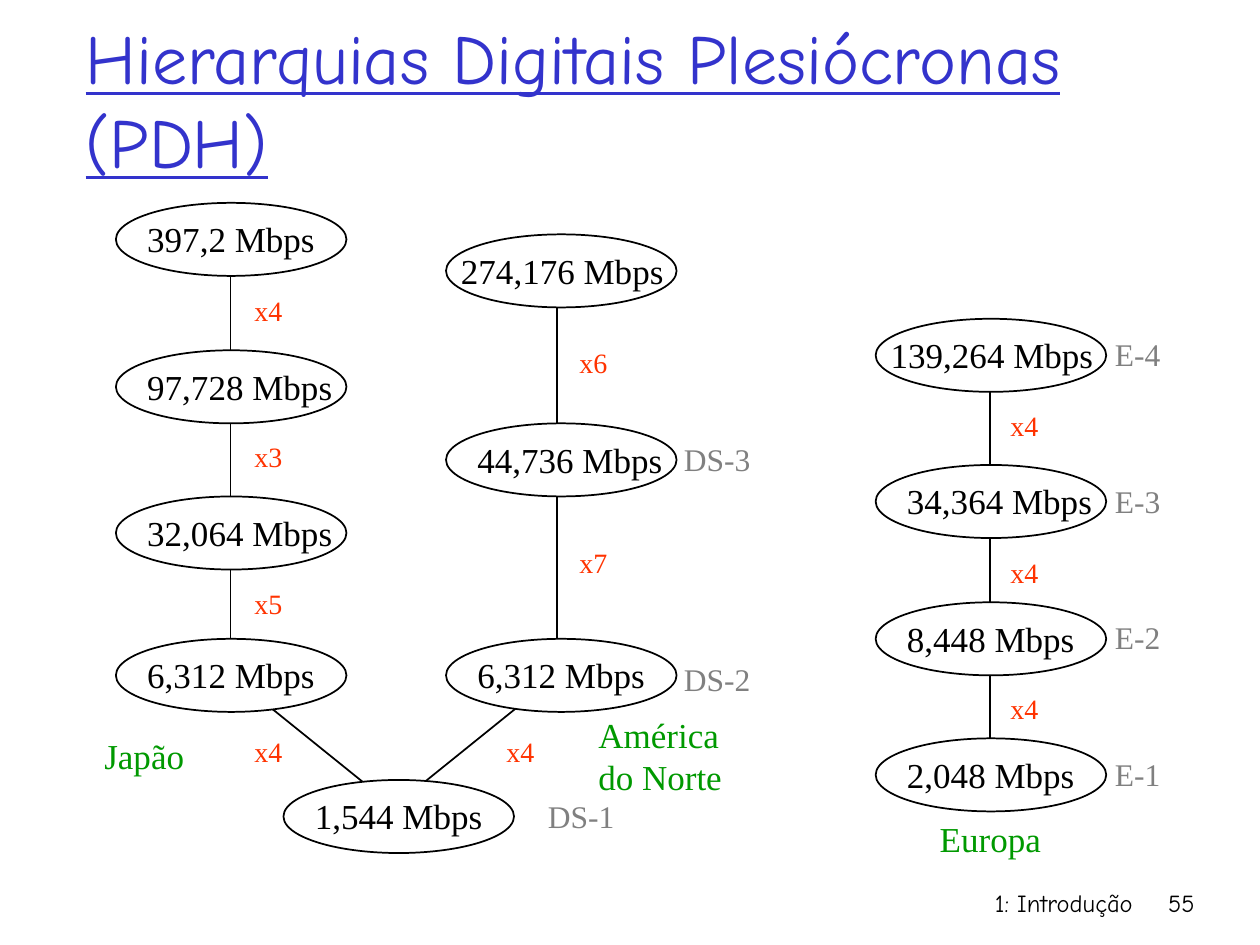
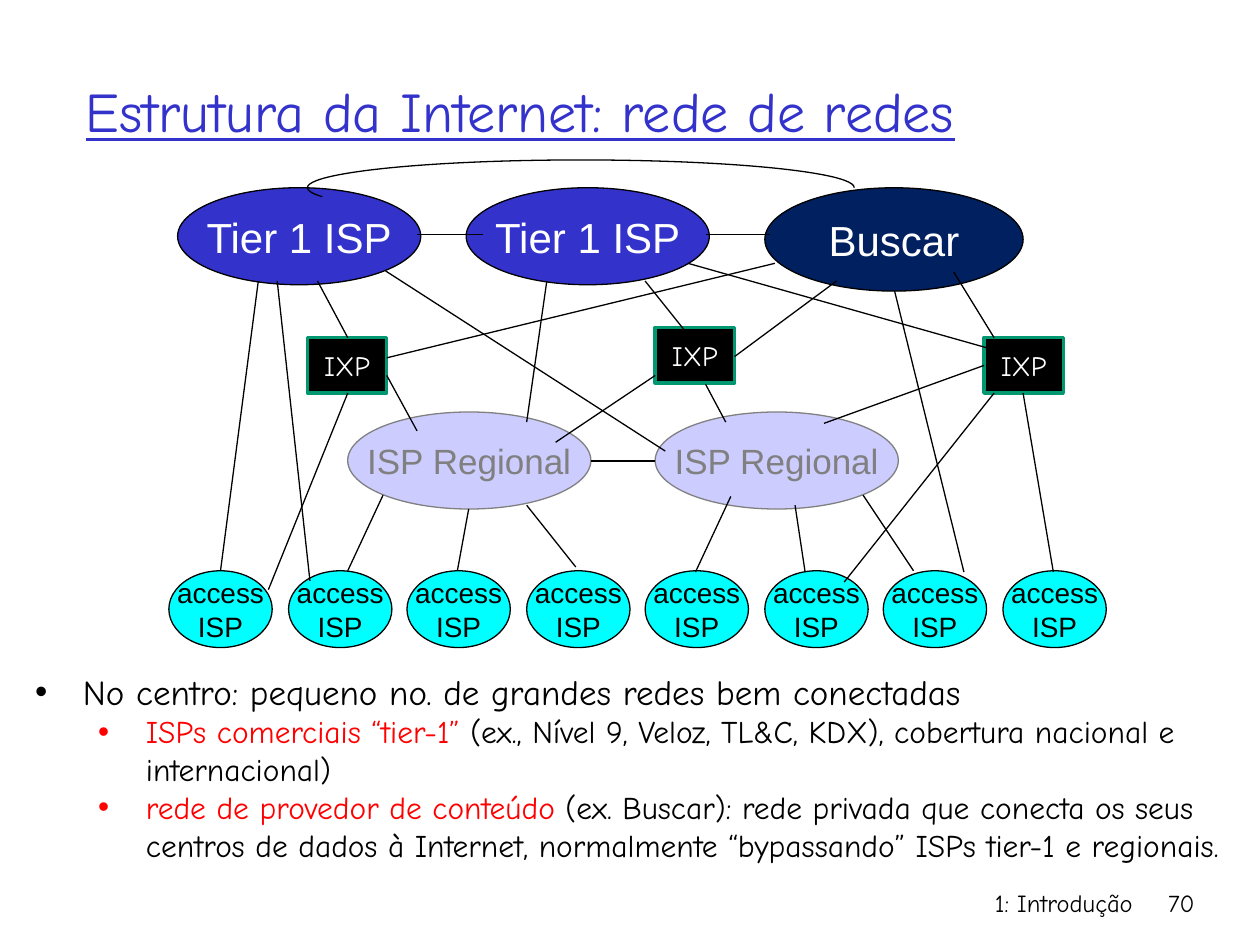
from dataclasses import dataclass

from lxml.etree import SubElement
from pptx import Presentation
from pptx.dml.color import RGBColor
from pptx.enum.shapes import MSO_CONNECTOR as Connector, MSO_SHAPE as Shape
from pptx.enum.text import MSO_ANCHOR as Anchor, MSO_AUTO_SIZE as AutoSize, PP_ALIGN as Align
from pptx.oxml.ns import qn
from pptx.util import Emu, Pt

PX = 9144


@dataclass(frozen=True)
class Style:
    """Font, size and colour of a kind of text."""
    font: str
    size: int
    color: str


@dataclass(frozen=True)
class Look:
    """Fill, outline and text style of a kind of node."""
    fill: str
    line: str
    weight: float
    text: Style


@dataclass(frozen=True)
class Theme:
    """Colours and type sizes of the whole deck."""
    black: str = "000000"
    red: str = "FF0000"
    title: Style = Style("Comic Neue", 40, "3333CC")
    title_small: Style = Style("Comic Neue", 32, "3333CC")
    footer: Style = Style("Comic Neue", 14, "000000")
    rate: Style = Style("Times New Roman", 20, "000000")
    region: Style = Style("Times New Roman", 20, "009900")
    factor: Style = Style("Times New Roman", 16, "FF3300")
    level: Style = Style("Times New Roman", 18, "808080")
    point: Style = Style("Comic Neue", 20, "000000")
    subpoint: Style = Style("Comic Neue", 18, "000000")
    multiplex: Look = Look("FFFFFF", "000000", 1, rate)
    tier1: Look = Look("3333CC", "000000", 0.75, Style("Arial", 24, "FFFFFF"))
    content: Look = Look("002060", "000000", 0.75, Style("Arial", 24, "FFFFFF"))
    regional: Look = Look("CCCCFF", "808080", 0.75, Style("Arial", 20, "808080"))
    access: Look = Look("00FFFF", "000000", 0.75, Style("Arial", 16, "000000"))
    exchange: Look = Look("000000", "009771", 2, Style("Comic Neue", 16, "FFFFFF"))


THEME = Theme()

HIERARCHIES = [
    (92, [(161, "397,2"), (278, "97,728"), (394, "32,064"), (507, "6,312")]),
    (354, [(186, "274,176"), (336, "44,736"), (507, "6,312")]),
    (695, [(253, "139,264"), (369, "34,364"), (478, "8,448"), (586, "2,048")]),
    (225, [(619, "1,544")]),
]
RATE_LINKS = [
    (786, 286, 786, 611), (442, 536, 308, 644), (183, 536, 317, 644),
    (442, 219, 442, 544), (183, 203, 183, 528),
]
FACTORS = [
    (192, [(228, "x4"), (344, "x3"), (461, "x5"), (578, "x4")]),
    (392, [(578, "x4")]),
    (450, [(269, "x6"), (428, "x7")]),
    (792, [(319, "x4"), (436, "x4"), (544, "x4")]),
]
LEVELS = [
    (425, 73, [(628, "DS-1")]),
    (533, 73, [(519, "DS-2"), (344, "DS-3")]),
    (875, 56, [(594, "E-1"), (486, "E-2"), (378, "E-3"), (261, "E-4")]),
]
REGIONS = [
    ((73, 578, 100, 43), "Japão"),
    ((465, 561, 140, 77), "América\ndo Norte"),
    ((736, 644, 120, 43), "Europa"),
]
NETWORK_LINKS = [
    (205, 223, 175, 453), (372, 404, 363, 453), (304, 393, 276, 453),
    (220, 223, 246, 461), (276, 312, 213, 468), (418, 401, 457, 450),
    (520, 366, 469, 366), (580, 394, 552, 454), (631, 401, 639, 454),
    (685, 393, 725, 453), (710, 231, 765, 454), (383, 186, 331, 186),
    (611, 186, 560, 186), (757, 216, 789, 268), (252, 223, 276, 268),
    (307, 298, 331, 342), (615, 209, 307, 284), (512, 223, 552, 273),
    (434, 223, 418, 335), (560, 305, 576, 335), (520, 298, 441, 351),
    (306, 215, 528, 358), (812, 312, 836, 454), (789, 312, 670, 462),
    (781, 290, 654, 336), (664, 223, 583, 283), (546, 209, 783, 276),
]
POINTS = [
    (0, "", "No centro: pequeno no. de grandes redes bem conectadas"),
    (1, "ISPs comerciais “tier-1” ",
     "(ex., Nível 9, Veloz, TL&C, KDX), cobertura nacional e internacional)"),
    (1, "rede de provedor de conteúdo ",
     "(ex. Buscar): rede privada que conecta os seus centros de dados à Internet, "
     "normalmente “bypassando” ISPs tier-1 e regionais."),
]


def px(*lengths):
    """Turn px lengths into EMU."""
    return [Emu(length * PX) for length in lengths]


def rgb(color):
    """Turn a hex string into a colour."""
    return RGBColor.from_string(color)


def style_font(font, style, color=None):
    """Apply a text style to a font."""
    font.name, font.size = style.font, Pt(style.size)
    font.color.rgb = rgb(color or style.color)


def write(frame, text, style, align=Align.LEFT):
    """Fill a text frame and format its runs."""
    frame.text = text
    for paragraph in frame.paragraphs:
        paragraph.alignment = align
        for run in paragraph.runs:
            style_font(run.font, style)


def add_label(slide, box, text, style, align=Align.LEFT, wrap=False):
    """Add a plain piece of text."""
    frame = slide.shapes.add_textbox(*px(*box)).text_frame
    frame.word_wrap = wrap
    write(frame, text, style, align)


def add_node(slide, kind, box, look, text=""):
    """Add an outlined node with centred text."""
    node = slide.shapes.add_shape(kind, *px(*box))
    node.shadow.inherit = False
    node.fill.solid()
    node.fill.fore_color.rgb = rgb(look.fill)
    node.line.color.rgb = rgb(look.line)
    node.line.width = Pt(look.weight)
    if text:
        node.text_frame.word_wrap = False
        node.text_frame.vertical_anchor = Anchor.MIDDLE
        write(node.text_frame, text, look.text, Align.CENTER)


def add_links(slide, links, weight):
    """Join pairs of points with thin black lines."""
    for ends in links:
        link = slide.shapes.add_connector(Connector.STRAIGHT, *px(*ends))
        link.line.color.rgb = rgb(THEME.black)
        link.line.width = Pt(weight)
        SubElement(link._element.spPr, qn("a:effectLst"))


def add_peering_arc(slide, box, start, end):
    """Add an open arc between two angles in degrees."""
    arc = slide.shapes.add_shape(Shape.ARC, *px(*box))
    arc.shadow.inherit = False
    arc.fill.background()
    arc.line.color.rgb = rgb(THEME.black)
    arc.line.width = Pt(0.75)
    for index, angle in enumerate((start, end)):
        arc.adjustments[index] = angle * 0.6


def add_rate(slide, left, top, rate):
    """Add an ellipse with its bit rate."""
    text = f"{rate} Mbps"
    add_node(slide, Shape.OVAL, (left, top, 183, 58), THEME.multiplex)
    indent = 2 if len(text) > 11 else 15
    add_label(slide, (left + indent, top + 7, 14 * len(text) + 13, 43), text, THEME.rate)


def add_points(slide, box, points):
    """Add the bulleted explanation with red lead-ins."""
    frame = slide.shapes.add_textbox(*px(*box)).text_frame
    frame.word_wrap = True
    for index, (level, lead, rest) in enumerate(points):
        paragraph = frame.add_paragraph() if index else frame.paragraphs[0]
        paragraph.level = level
        props = paragraph._p.get_or_add_pPr()
        props.set("marL", str((38 + 50 * level) * PX))
        props.set("indent", str(-38 * PX))
        SubElement(props, qn("a:buFont"), typeface="Arial")
        SubElement(props, qn("a:buChar"), char="•")
        style = THEME.subpoint if level else THEME.point
        for text, color in ((lead, THEME.red), (rest, THEME.black)):
            if text:
                run = paragraph.add_run()
                run.text = text
                style_font(run.font, style, color)


def add_titled_slide(deck, title, style, anchor, number):
    """Add a slide with its underlined title and footer."""
    slide = deck.slides.add_slide(deck.slide_layouts[5])
    heading = slide.shapes.title
    heading.left, heading.top, heading.width, heading.height = px(58, 25, 850, 125)
    frame = heading.text_frame
    frame.auto_size = AutoSize.NONE
    frame.word_wrap = True
    frame.vertical_anchor = anchor
    write(frame, title, style)
    frame.paragraphs[0].runs[0].font.underline = True
    add_label(slide, (592, 700, 317, 50), "1: Introdução", THEME.footer, Align.RIGHT, True)
    add_label(slide, (908, 700, 50, 50), number, THEME.footer, Align.RIGHT, True)
    return slide


def build_hierarchies(deck):
    """Build the slide on plesiochronous hierarchies."""
    slide = add_titled_slide(deck, "Hierarquias Digitais Plesiócronas (PDH)",
                             THEME.title, Anchor.BOTTOM, "55")
    add_links(slide, RATE_LINKS, 1)
    for left, rates in HIERARCHIES:
        for top, rate in rates:
            add_rate(slide, left, top, rate)
    for left, factors in FACTORS:
        for top, factor in factors:
            add_label(slide, (left, top, 42, 37), factor, THEME.factor)
    for left, width, levels in LEVELS:
        for top, level in levels:
            add_label(slide, (left, top, width, 40), level, THEME.level)
    for box, region in REGIONS:
        add_label(slide, box, region, THEME.region, wrap=True)


def build_internet(deck):
    """Build the slide on the network of networks."""
    slide = add_titled_slide(deck, "Estrutura da Internet: rede de redes",
                             THEME.title_small, Anchor.MIDDLE, "70")
    for index in range(8):
        left = 134 + round(index * 662 / 7)
        add_node(slide, Shape.OVAL, (left, 453, 82, 61), THEME.access, "access\nISP")
    for left in (276, 520):
        add_node(slide, Shape.OVAL, (left, 327, 193, 77), THEME.regional, "ISP Regional")
    for left, top in ((244, 268), (520, 260), (781, 268)):
        add_node(slide, Shape.RECTANGLE, (left, top, 63, 44), THEME.exchange, "IXP")
    for left in (141, 370):
        add_node(slide, Shape.OVAL, (left, 149, 193, 77), THEME.tier1, "Tier 1 ISP")
    add_node(slide, Shape.OVAL, (607, 149, 205, 82), THEME.content, "Buscar")
    add_links(slide, NETWORK_LINKS, 0.75)
    add_peering_arc(slide, (244, 127, 434, 44), 178, 0)
    add_points(slide, (18, 527, 960, 195), POINTS)


def main():
    """Build and save the deck."""
    deck = Presentation()
    deck.slide_width, deck.slide_height = px(1000, 750)
    build_hierarchies(deck)
    build_internet(deck)
    deck.save("out.pptx")


if __name__ == "__main__":
    main()
